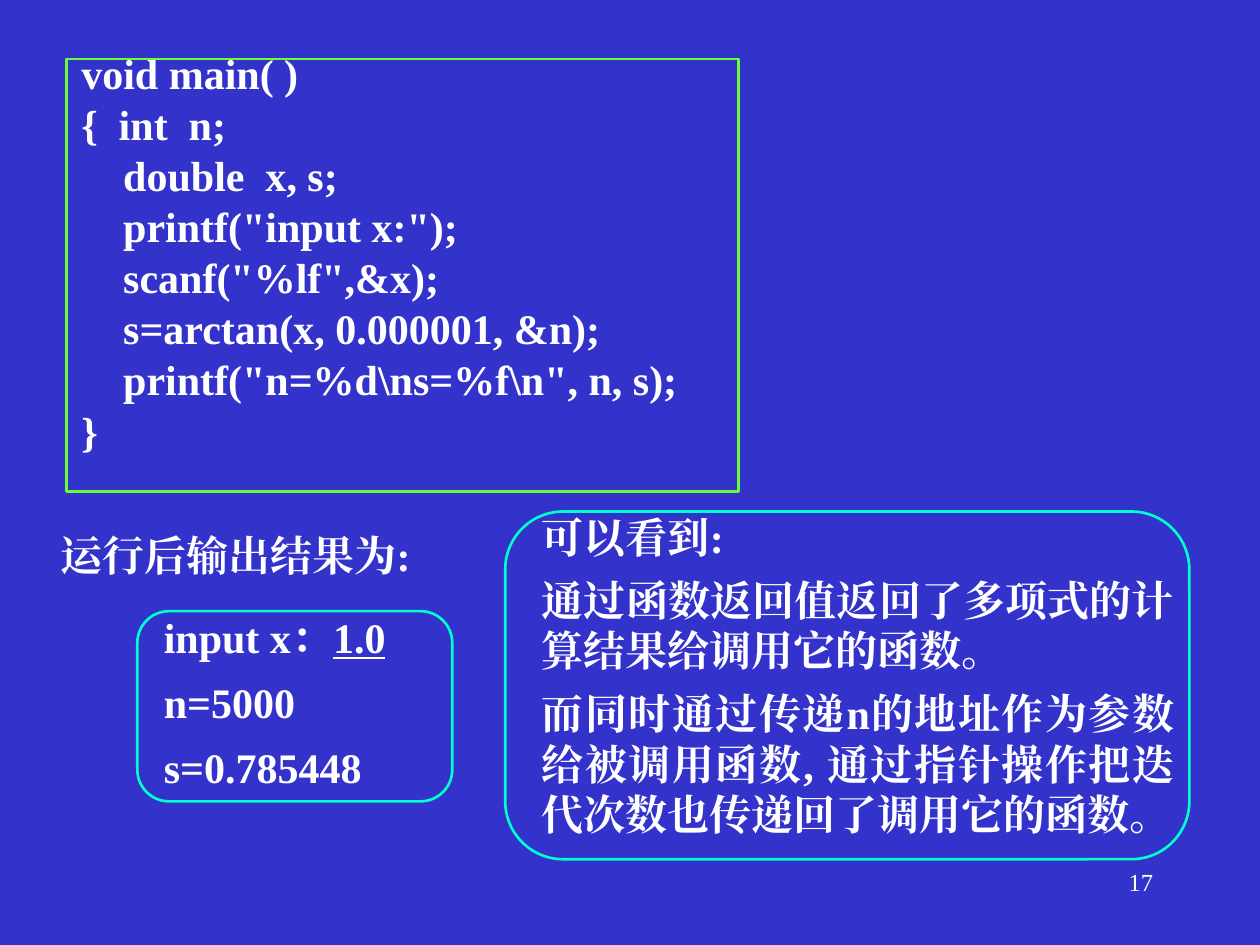
"""Builds the slide with the arctan main program, its output and a remark on pointers."""
from lxml import etree
from pptx import Presentation
from pptx import util as u
from pptx.dml.color import RGBColor
from pptx.enum import shapes, text

WHITE, GREEN, AQUA, BLUE = "FFFFFF", "66FF33", "00FFCC", "3333CC"
FACE = "Times New Roman"
TIGHT = {"margin_left": u.Inches(0.04), "margin_right": u.Inches(0.04),
         "margin_top": 0, "margin_bottom": 0}
BOLD = {"name": FACE, "size": u.Pt(24), "bold": True}
PLAIN = {"name": FACE, "size": u.Pt(14), "bold": False}
JUSTIFY, LEFT, RIGHT = (text.PP_ALIGN.JUSTIFY, text.PP_ALIGN.LEFT, text.PP_ALIGN.RIGHT)


def paint(target, color):
    target.rgb = RGBColor.from_string(color)


def share(left, top, width, height):
    return (round(deck.slide_width * left / 100), round(deck.slide_height * top / 100),
            round(deck.slide_width * width / 100), round(deck.slide_height * height / 100))


deck = Presentation()
deck.slide_width, deck.slide_height = u.Inches(10), u.Inches(7.5)
slide = deck.slides.add_slide(deck.slide_layouts[6])
slide.background.fill.solid()
paint(slide.background.fill.fore_color, BLUE)

program = ["void main( )",
           "{  int  n;",
           "    double  x, s;",
           '    printf("input x:");',
           '    scanf("%lf",&x);',
           "    s=arctan(x, 0.000001, &n);",
           '    printf("n=%d\\ns=%f\\n", n, s);',
           "}"]
output = [("input x：", "1.0"), "n=5000", "s=0.785448"]
remark = ["可以看到:",
          "通过函数返回值返回了多项式的计算结果给调用它的函数。",
          "而同时通过传递n的地址作为参数给被调用函数, 通过指针操作把迭代次数也传递回了调用它的函数。"]

passages = [
    (program, (6.05, 6.27, 53.45, 44.27), TIGHT, BOLD,
     {"alignment": LEFT, "line_spacing": u.Pt(22)}, 7.2),
    (output, (12.6, 64.67, 25.9, 22), TIGHT, BOLD, {"alignment": JUSTIFY}, 8.3),
    (["运行后输出结果为:"], (4.4, 56, 31.8, 5.33), TIGHT, BOLD, {"alignment": LEFT}, 0),
    (remark, (42.6, 54.13, 51, 35.6), TIGHT, BOLD, {"alignment": JUSTIFY}, 7.2),
    (["17"], (71.7, 91.07, 20.8, 6.67), {}, PLAIN, {"alignment": RIGHT}, 0),
]
for lines, place, insets, lettering, layout, gap in passages:
    frame = slide.shapes.add_textbox(*share(*place)).text_frame
    for key, value in {"word_wrap": True, **insets}.items():
        setattr(frame, key, value)
    for number, line in enumerate(lines):
        paragraph = frame.add_paragraph() if number else frame.paragraphs[0]
        for key, value in layout.items():
            setattr(paragraph, key, value)
        paragraph.space_before = u.Pt(gap if number else 0)
        parts = line if isinstance(line, tuple) else (line,)
        for position, words in enumerate(parts):
            run = paragraph.add_run()
            run.text = words
            for key, value in {**lettering, "underline": position > 0}.items():
                setattr(run.font, key, value)
            paint(run.font.color, WHITE)
            if lettering is BOLD:
                etree.SubElement(run.font._element, "{http://schemas.openxmlformats.org/drawingml/2006/main}ea",
                                 typeface=FACE)

RECT, ROUND = shapes.MSO_SHAPE.RECTANGLE, shapes.MSO_SHAPE.ROUNDED_RECTANGLE
borders = [
    (RECT, (5.3, 6.27, 53.3, 45.73), GREEN),
    (ROUND, (10.9, 64.67, 25, 20.13), AQUA),
    (ROUND, (40.1, 54.13, 54.3, 36.8), AQUA),
]
for outline, place, color in borders:
    border = slide.shapes.add_shape(outline, *share(*place))
    border.shadow.inherit = False
    border.fill.background()
    border.line.width = u.Pt(1.5)
    paint(border.line.color, color)

deck.save("out.pptx")
